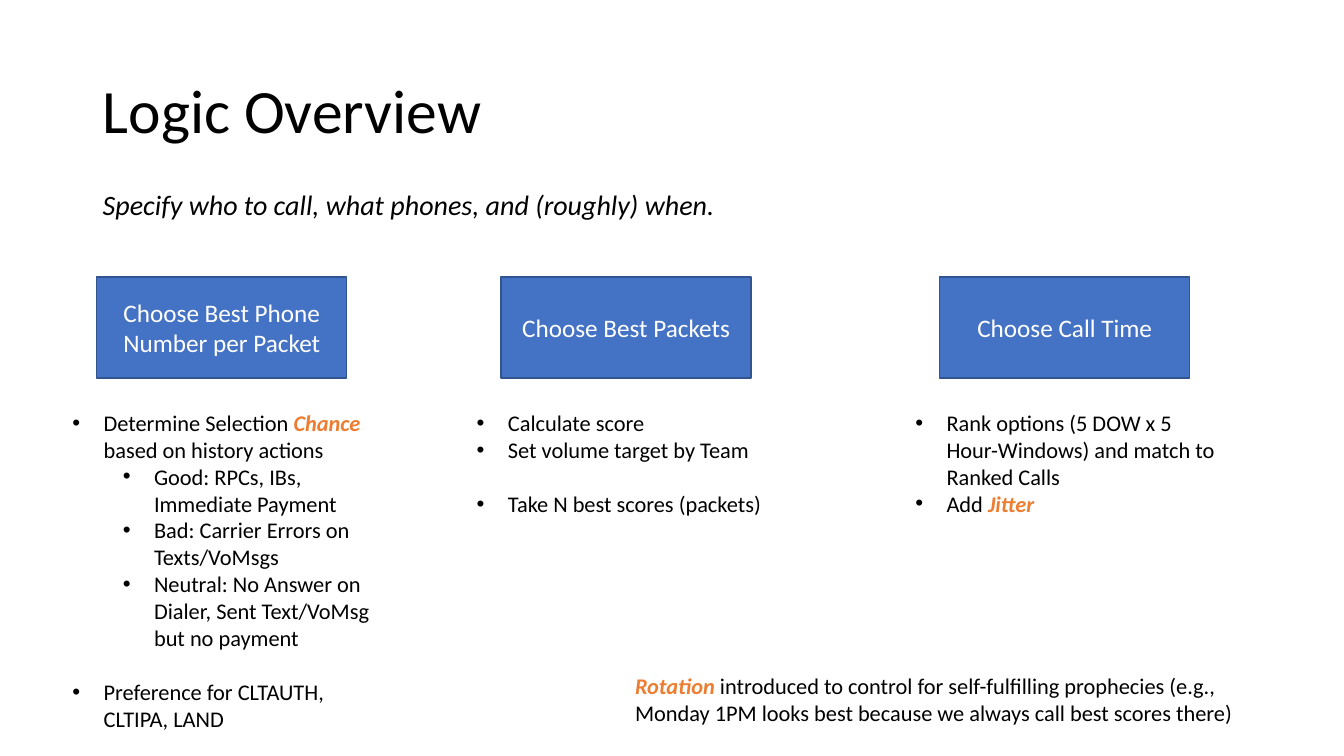
from lxml.etree import SubElement
from pptx import Presentation
from pptx.dml.color import RGBColor
from pptx.enum.shapes import MSO_SHAPE as Shape
from pptx.enum.text import MSO_ANCHOR as Anchor, MSO_AUTO_SIZE as AutoSize, PP_ALIGN as Align
from pptx.oxml.ns import qn
from pptx.util import Inches, Pt

FONT = "Calibri"
BLACK, WHITE, BLUE, DARK_BLUE, ORANGE = "000000", "FFFFFF", "4472C4", "325491", "ED7D31"
STEP_TOP, STEP_WIDTH, STEP_HEIGHT = 2.75, 2.48, 1
LIST_TOP, LIST_WIDTH, LIST_OFFSET = 4.01, 3.17, -0.34
BULLET_HANG, LEVEL_INDENT = 0.31, 0.5
LINE_GAP = 19.5  # one line of 16 pt text, in points

# Each step: left, heading, list height, bullets.
# Each bullet: level, gap before in points, spans of (text, highlighted).
STEPS = [
    (0.96, "Choose Best Phone Number per Packet", 3.6, [
        (0, 0, [("Determine Selection ", False), ("Chance", True),
                (" based on history actions", False)]),
        (1, 0, [("Good: RPCs, IBs, Immediate Payment", False)]),
        (1, 0, [("Bad: Carrier Errors on Texts/VoMsgs", False)]),
        (1, 0, [("Neutral: No Answer on Dialer, Sent Text/VoMsg but no payment", False)]),
        (0, LINE_GAP, [("Preference for CLTAUTH, CLTIPA, LAND", False)]),
    ]),
    (4.97, "Choose Best Packets", 1.45, [
        (0, 0, [("Calculate score", False)]),
        (0, 0, [("Set volume target by Team", False)]),
        (0, LINE_GAP, [("Take N best scores (packets)", False)]),
    ]),
    (9.32, "Choose Call Time", 1.18, [
        (0, 0, [("Rank options (5 DOW x 5 Hour-Windows) and match to Ranked Calls", False)]),
        (0, 0, [("Add ", False), ("Jitter", True)]),
    ]),
]
ROTATION_NOTE = [
    ("Rotation", True),
    (" introduced to control for self-fulfilling prophecies (e.g., Monday 1PM looks best "
     "because we always call best scores there)", False),
]


def rgb(value):
    return RGBColor.from_string(value)


def add_span(para, text, size, color=BLACK, bold=False, italic=False):
    span = para.add_run()
    span.text = text
    font = span.font
    font.name, font.size, font.bold, font.italic = FONT, Pt(size), bold, italic
    font.color.rgb = rgb(color)


def add_body_spans(para, spans):
    for text, highlighted in spans:
        add_span(para, text, 16, ORANGE if highlighted else BLACK, highlighted, highlighted)


def add_text_box(page, left, top, width, height):
    box = page.shapes.add_textbox(Inches(left), Inches(top), Inches(width), Inches(height))
    box.text_frame.word_wrap = True
    return box.text_frame


def set_bullet(para, level):
    para.level = level
    props = para._p.get_or_add_pPr()
    props.set("marL", str(Inches(BULLET_HANG + level * LEVEL_INDENT)))
    props.set("indent", str(Inches(-BULLET_HANG)))
    SubElement(props, qn("a:buFont"), typeface="Arial")
    SubElement(props, qn("a:buChar"), char="•")


def add_title(page, text):
    title = page.shapes.title
    title.left, title.top = Inches(0.92), Inches(0.4)
    title.width, title.height = Inches(11.5), Inches(1.45)
    frame = title.text_frame
    frame.auto_size = AutoSize.NONE
    frame.vertical_anchor = Anchor.MIDDLE
    para = frame.paragraphs[0]
    para.alignment, para.line_spacing = Align.LEFT, 0.9
    add_span(para, text, 44)


def add_step_box(page, left, heading):
    box = page.shapes.add_shape(Shape.RECTANGLE, Inches(left), Inches(STEP_TOP),
                                Inches(STEP_WIDTH), Inches(STEP_HEIGHT))
    box.shadow.inherit = False
    box.fill.solid()
    box.fill.fore_color.rgb = rgb(BLUE)
    box.line.color.rgb = rgb(DARK_BLUE)
    box.line.width = Pt(1)
    frame = box.text_frame
    frame.word_wrap = True
    frame.vertical_anchor = Anchor.MIDDLE
    para = frame.paragraphs[0]
    para.alignment = Align.CENTER
    add_span(para, heading, 18, WHITE)


def add_bullet_list(page, left, height, bullets):
    frame = add_text_box(page, left, LIST_TOP, LIST_WIDTH, height)
    for index, (level, gap, spans) in enumerate(bullets):
        para = frame.add_paragraph() if index else frame.paragraphs[0]
        set_bullet(para, level)
        para.space_before = Pt(gap)
        add_body_spans(para, spans)


def main():
    deck = Presentation()
    deck.slide_width, deck.slide_height = Inches(13.33), Inches(7.5)
    page = deck.slides.add_slide(deck.slide_layouts[5])

    # Title and subtitle
    add_title(page, "Logic Overview")
    subtitle = add_text_box(page, 0.92, 1.81, 7.41, 0.44)
    add_span(subtitle.paragraphs[0], "Specify who to call, what phones, and (roughly) when.",
             20, italic=True)

    # Steps with their bullet lists
    for left, heading, list_height, bullets in STEPS:
        add_step_box(page, left, heading)
        add_bullet_list(page, left + LIST_OFFSET, list_height, bullets)

    # Note on rotation
    note = add_text_box(page, 6.2, 6.62, 6.69, 0.64)
    add_body_spans(note.paragraphs[0], ROTATION_NOTE)

    deck.save("out.pptx")


if __name__ == "__main__":
    main()
